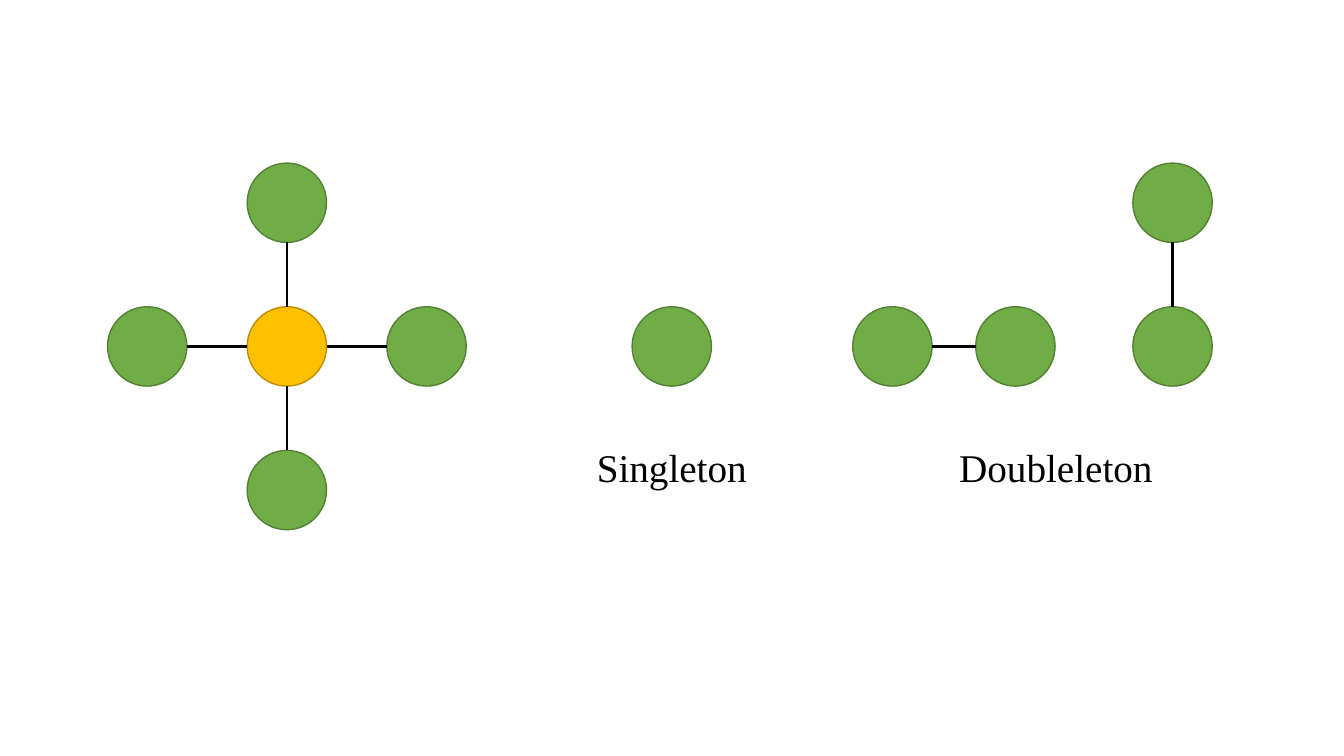
import pptx
import pptx.dml.color
import pptx.enum.shapes
import pptx.enum.text
import pptx.oxml.ns
import pptx.util
from lxml import etree
from pptx.util import Cm

COLORS = {"leaf": "70AD47", "leaf_edge": "538035",
          "hub": "FFC000", "hub_edge": "BD8E00", "ink": "000000"}
DIAMETER = 2
RADIUS = DIAMETER / 2
LABEL_HEIGHT = 1.45
ROW_ABOVE_BOTTOM = 3.77  # from the node row's centre to the foot of a captioned box


def rgb(name):
    return pptx.dml.color.RGBColor.from_string(COLORS[name])


def add_node(slide, center, kind="leaf"):
    x, y = center
    node = slide.shapes.add_shape(
        pptx.enum.shapes.MSO_SHAPE.OVAL,
        Cm(x - RADIUS), Cm(y - RADIUS), Cm(DIAMETER), Cm(DIAMETER))
    node.shadow.inherit = False
    node.fill.solid()
    node.fill.fore_color.rgb = rgb(kind)
    node.line.color.rgb = rgb(kind + "_edge")
    node.line.width = pptx.util.Pt(1)


def add_edge(slide, start, end):
    """Join the rims of two nodes that share a row or a column."""
    (x1, y1), (x2, y2) = start, end
    length = abs(x2 - x1) + abs(y2 - y1)
    dx, dy = (x2 - x1) / length * RADIUS, (y2 - y1) / length * RADIUS
    edge = slide.shapes.add_connector(
        pptx.enum.shapes.MSO_CONNECTOR.STRAIGHT,
        Cm(x1 + dx), Cm(y1 + dy), Cm(x2 - dx), Cm(y2 - dy))
    edge.line.color.rgb = rgb("ink")
    edge.line.width = pptx.util.Pt(1.5)
    etree.SubElement(edge._element.spPr, pptx.oxml.ns.qn("a:effectLst"))


def add_text(slide, text, box, size=28, font="Times New Roman", color="ink",
             align=pptx.enum.text.PP_ALIGN.CENTER):
    frame = slide.shapes.add_textbox(*map(Cm, box)).text_frame
    frame.word_wrap = True
    frame.auto_size = pptx.enum.text.MSO_AUTO_SIZE.SHAPE_TO_FIT_TEXT
    paragraph = frame.paragraphs[0]
    paragraph.alignment = align
    run = paragraph.add_run()
    run.text = text
    run.font.size = pptx.util.Pt(size)
    run.font.name = font
    run.font.color.rgb = rgb(color)


def add_caption(slide, text, box):
    left, top, width, height = box
    add_text(slide, text, (left, top + height - LABEL_HEIGHT, width, LABEL_HEIGHT))


def add_star(slide, box):
    left, top, width, height = box
    hub = x, y = left + width / 2, top + height / 2
    reach_x, reach_y = width / 2 - RADIUS, height / 2 - RADIUS
    add_node(slide, hub, "hub")
    for across, down in ((-1, 0), (1, 0), (0, 1), (0, -1)):
        leaf = x + across * reach_x, y + down * reach_y
        add_node(slide, leaf)
        add_edge(slide, hub, leaf)


def add_singleton(slide, box):
    left, top, width, height = box
    add_node(slide, (left + width / 2, top + height - ROW_ABOVE_BOTTOM))
    add_caption(slide, "Singleton", box)


def add_doubleton(slide, box):
    left, top, width, height = box
    row = top + height - ROW_ABOVE_BOTTOM
    column = left + 8.06
    horizontal_pair = (left + RADIUS, row), (left + 4.1, row)
    vertical_pair = (column, top + RADIUS), (column, row)
    for pair in (horizontal_pair, vertical_pair):
        for center in pair:
            add_node(slide, center)
        add_edge(slide, *pair)
    add_caption(slide, "Doubleleton", box)


def main():
    deck = pptx.Presentation()
    deck.slide_width, deck.slide_height = Cm(33.87), Cm(19.05)
    slide = deck.slides.add_slide(deck.slide_layouts[6])
    add_star(slide, (2.71, 4.11, 9.04, 9.24))
    add_singleton(slide, (11.81, 7.73, 10.24, 4.77))
    add_doubleton(slide, (21.49, 4.11, 10.24, 8.39))
    deck.save("out.pptx")


if __name__ == "__main__":
    main()
